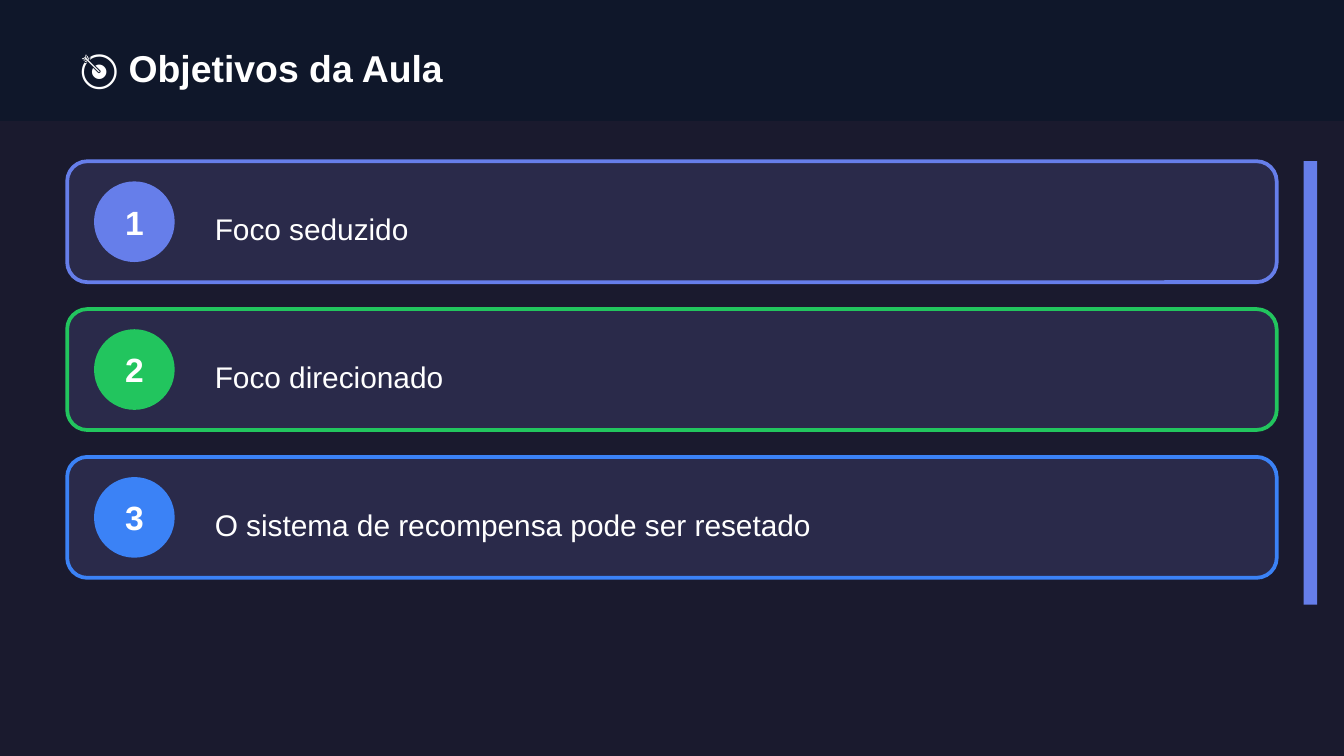
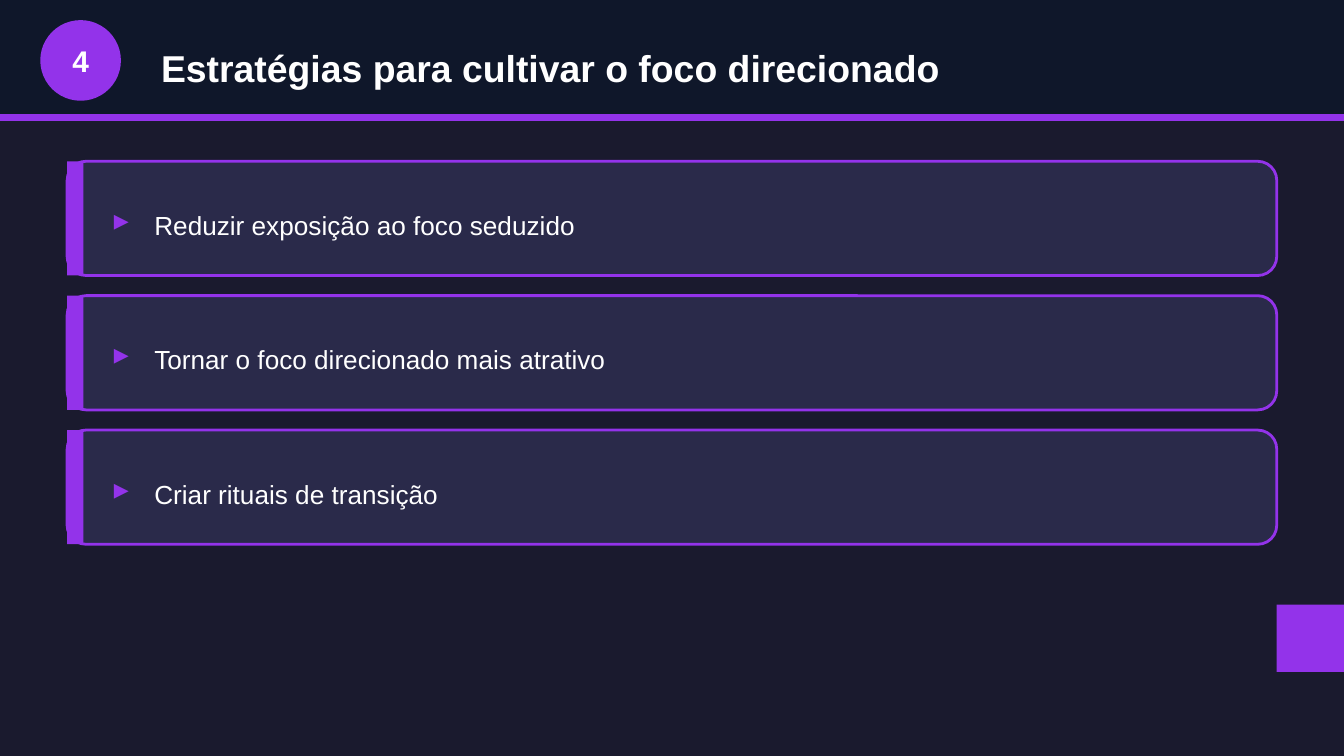
from pptx import Presentation
from pptx.dml.color import RGBColor
from pptx.enum.shapes import MSO_SHAPE
from pptx.enum.text import MSO_ANCHOR, PP_ALIGN
from pptx.util import Inches, Pt

RECT, ROUND, OVAL = MSO_SHAPE.RECTANGLE, MSO_SHAPE.ROUNDED_RECTANGLE, MSO_SHAPE.OVAL
LEFT, CENTER, MIDDLE = PP_ALIGN.LEFT, PP_ALIGN.CENTER, MSO_ANCHOR.MIDDLE

FONT = "Arial"
BACKGROUND = RGBColor(0x1A, 0x1A, 0x2E)
HEADER = RGBColor(0x0F, 0x17, 0x2A)
CARD = RGBColor(0x2A, 0x2A, 0x4A)
WHITE = RGBColor(0xFF, 0xFF, 0xFF)
INDIGO = RGBColor(0x66, 0x7E, 0xEA)
GREEN = RGBColor(0x22, 0xC5, 0x5E)
BLUE = RGBColor(0x3B, 0x82, 0xF6)
PURPLE = RGBColor(0x93, 0x33, 0xEA)
TITLE = dict(size=20, bold=True)


def add_box(s, kind, x, y, w, h, fill, line=None, width=1):
    sp = s.shapes.add_shape(kind, Inches(x), Inches(y), Inches(w), Inches(h))
    sp.shadow.inherit = False
    sp.fill.solid()
    sp.fill.fore_color.rgb = fill
    if line is None:
        sp.line.fill.background()
    else:
        sp.line.color.rgb = line
        sp.line.width = Pt(width)


def add_text(s, text, x, y, w, h, size=16, color=WHITE, bold=False, align=LEFT):
    tf = s.shapes.add_textbox(Inches(x), Inches(y), Inches(w), Inches(h)).text_frame
    tf.word_wrap = True
    tf.vertical_anchor = MIDDLE
    p = tf.paragraphs[0]
    p.alignment = align
    r = p.add_run()
    r.text = text
    r.font.name = FONT
    r.font.size = Pt(size)
    r.font.bold = bold
    r.font.color.rgb = color


# 16:9 page
prs = Presentation()
prs.slide_width = Inches(10)
prs.slide_height = Inches(10 * 9 / 16)

# Shared background and header band
slides = [prs.slides.add_slide(prs.slide_layouts[6]) for _ in range(2)]
for s in slides:
    s.background.fill.solid()
    s.background.fill.fore_color.rgb = BACKGROUND
    add_box(s, RECT, 0, 0, 10, 0.9, HEADER)

# Slide 1: lesson objectives
s = slides[0]
add_text(s, "🎯 Objetivos da Aula", 0.5, 0.25, 9, 0.5, **TITLE)
objectives = [
    ("Foco seduzido", INDIGO),
    ("Foco direcionado", GREEN),
    ("O sistema de recompensa pode ser resetado", BLUE),
]
for i, (text, color) in enumerate(objectives):
    y = 1.2 + 1.1 * i
    add_box(s, ROUND, 0.5, y, 9, 0.9, CARD, line=color, width=2)
    add_box(s, OVAL, 0.7, y + 0.15, 0.6, 0.6, color)
    add_text(s, str(i + 1), 0.7, y + 0.25, 0.6, 0.4, size=18, bold=True, align=CENTER)
    add_text(s, text, 1.5, y + 0.25, 7.8, 0.5)
add_box(s, RECT, 9.7, 1.2, 0.1, 3.3, INDIGO)

# Slide 2: numbered section header
s = slides[1]
add_box(s, RECT, 0, 0.85, 10, 0.05, PURPLE)
add_box(s, OVAL, 0.3, 0.15, 0.6, 0.6, PURPLE)
add_text(s, "4", 0.3, 0.25, 0.6, 0.4, bold=True, align=CENTER)
add_text(s, "Estratégias para cultivar o foco direcionado", 1.1, 0.25, 8.5, 0.5, **TITLE)

# Slide 2: strategy cards
strategies = [
    "Reduzir exposição ao foco seduzido",
    "Tornar o foco direcionado mais atrativo",
    "Criar rituais de transição",
]
for i, text in enumerate(strategies):
    y = 1.2 + i
    add_box(s, ROUND, 0.5, y, 9, 0.85, CARD, line=PURPLE, width=1.5)
    add_box(s, RECT, 0.5, y, 0.12, 0.85, PURPLE)
    add_text(s, "▸", 0.75, y + 0.25, 0.3, 0.35, color=PURPLE, bold=True)
    add_text(s, text, 1.05, y + 0.25, 8.2, 0.45, size=14)
add_box(s, RECT, 9.5, 4.5, 0.5, 0.5, PURPLE)

prs.save("out.pptx")
